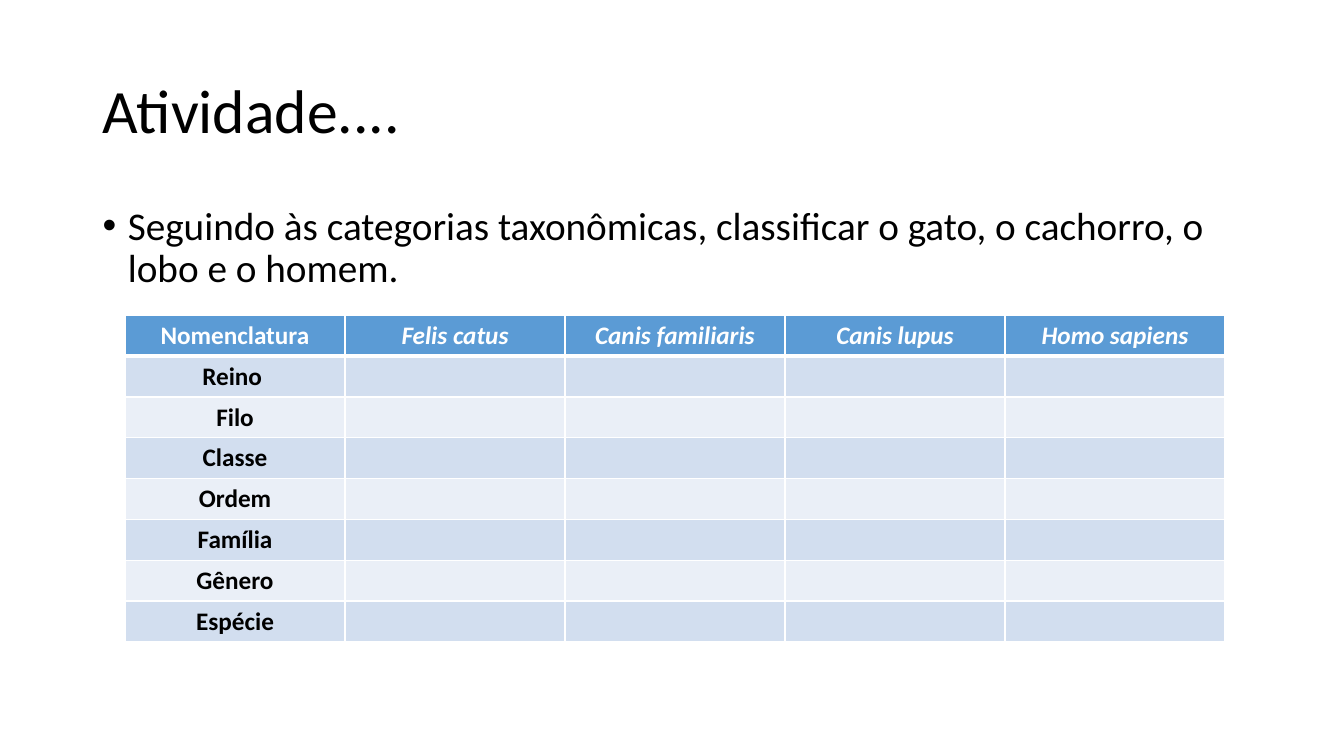
"""Build the taxonomy activity slide with its classification table."""
import lxml.etree
import pptx
import pptx.dml.color
import pptx.enum.text
import pptx.oxml
import pptx.oxml.ns
import pptx.util

TITLE = "Atividade...."
TASK = ("Seguindo às categorias taxonômicas, classificar o gato, "
        "o cachorro, o lobo e o homem.")
HEADINGS = ["Nomenclatura", "Felis catus", "Canis familiaris", "Canis lupus", "Homo sapiens"]
RANKS = ["Reino ", "Filo", "Classe", "Ordem", "Família", "Gênero", "Espécie"]

PX = 9144
SLIDE_SIZE = (1333, 750)
TITLE_AREA = (92, 40, 1150, 145)
TASK_AREA = (92, 200, 1150, 476)
TABLE_AREA = (124, 313, 1091, 324)
INDENT = 25

FONT = "Calibri"
BLACK, WHITE = "000000", "FFFFFF"
HEADER_FILL = "5B9BD5"
BAND_FILLS = ("D2DEEF", "EAEFF7")
ANCHOR = pptx.enum.text.MSO_ANCHOR
ALIGN = pptx.enum.text.PP_ALIGN


def color(value):
    return pptx.dml.color.RGBColor.from_string(value)


def scaled(area):
    return [pptx.util.Emu(length * PX) for length in area]


def write(para, text, size=18, fill=BLACK, bold=False, italic=False,
          align=ALIGN.LEFT, spacing=1.0):
    para.alignment = align
    para.line_spacing = spacing
    span = para.add_run()
    span.text = text
    span.font.name = FONT
    span.font.size = pptx.util.Pt(size)
    span.font.bold = bold
    span.font.italic = italic
    span.font.color.rgb = color(fill)


def add_box(page, area, anchor):
    frame = page.shapes.add_textbox(*scaled(area)).text_frame
    frame.word_wrap = True
    frame.vertical_anchor = anchor
    return frame.paragraphs[0]


def add_bullet(para):
    properties = para._p.get_or_add_pPr()
    properties.set("marL", str(INDENT * PX))
    properties.set("indent", str(-INDENT * PX))
    font = lxml.etree.SubElement(properties, pptx.oxml.ns.qn("a:buFont"))
    font.set("typeface", "Arial")
    mark = lxml.etree.SubElement(properties, pptx.oxml.ns.qn("a:buChar"))
    mark.set("char", "•")


def set_borders(cell, widths):
    properties = cell._tc.get_or_add_tcPr()
    for side, width in zip("LRTB", widths):
        properties.append(pptx.oxml.parse_xml(
            f'<a:ln{side} {pptx.oxml.ns.nsdecls("a")} w="{pptx.util.Pt(width)}">'
            f'<a:solidFill><a:srgbClr val="{WHITE}"/></a:solidFill></a:ln{side}>'))


def add_table(page):
    left, top, width, height = scaled(TABLE_AREA)
    rows = [HEADINGS] + [[rank] + [""] * (len(HEADINGS) - 1) for rank in RANKS]
    table = page.shapes.add_table(len(rows), len(HEADINGS), left, top, width, height).table
    for row_index, row in enumerate(rows):
        header = row_index == 0
        for column_index, text in enumerate(row):
            cell = table.cell(row_index, column_index)
            above = 3 if row_index == 1 else 1
            set_borders(cell, (1, 1, above, 3 if header else 1))
            cell.fill.solid()
            cell.fill.fore_color.rgb = color(
                HEADER_FILL if header else BAND_FILLS[(row_index - 1) % 2])
            if text:
                write(cell.text_frame.paragraphs[0], text, bold=True,
                      fill=WHITE if header else BLACK,
                      italic=header and column_index > 0, align=ALIGN.CENTER)


def main():
    deck = pptx.Presentation()
    deck.slide_width, deck.slide_height = scaled(SLIDE_SIZE)
    page = deck.slides.add_slide(deck.slide_layouts[6])
    write(add_box(page, TITLE_AREA, ANCHOR.MIDDLE), TITLE, size=44, spacing=0.9)
    task = add_box(page, TASK_AREA, ANCHOR.TOP)
    add_bullet(task)
    write(task, TASK, size=28, spacing=0.9)
    add_table(page)
    deck.save("out.pptx")


if __name__ == "__main__":
    main()
